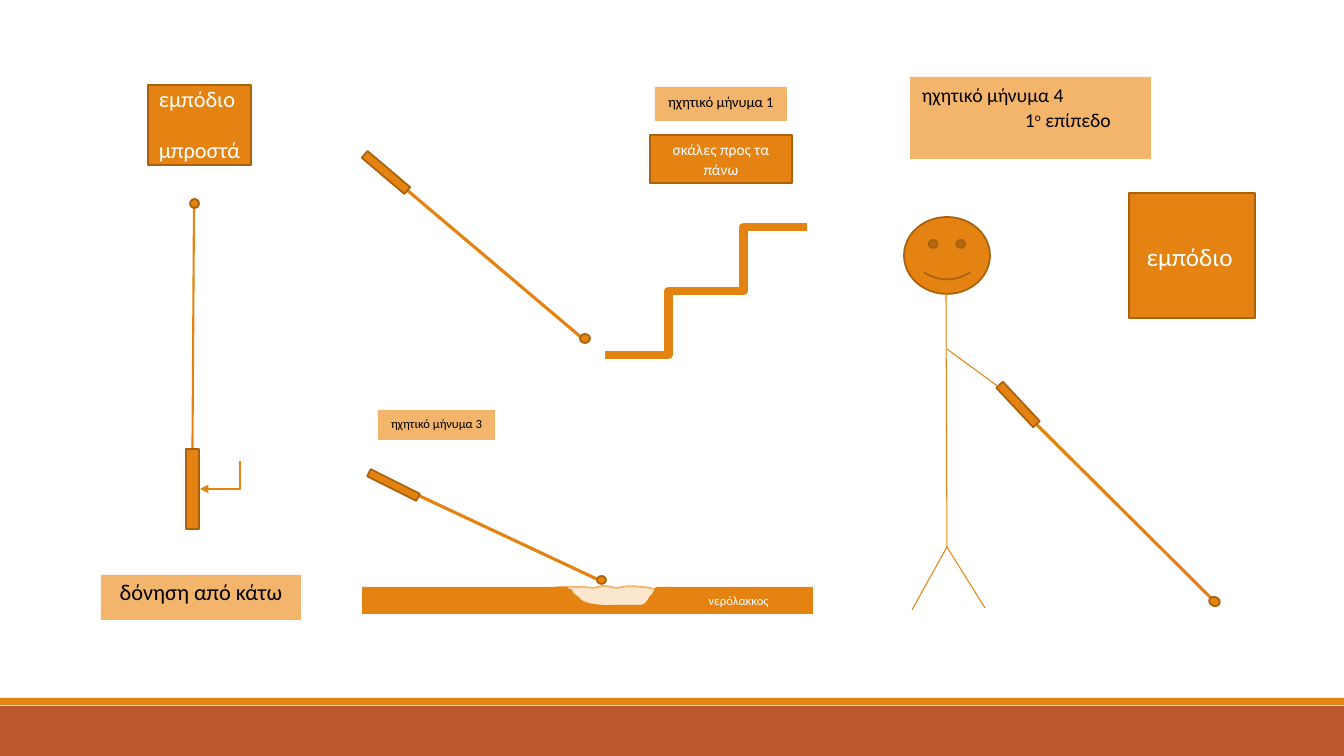
from pptx import Presentation
from pptx.dml.color import RGBColor
from pptx.enum.shapes import MSO_CONNECTOR, MSO_SHAPE
from pptx.enum.text import MSO_ANCHOR, PP_ALIGN
from pptx.oxml.ns import qn
from pptx.util import Pt
from lxml import etree

RECT, OVAL, SMILEY = MSO_SHAPE.RECTANGLE, MSO_SHAPE.OVAL, MSO_SHAPE.SMILEY_FACE
STRAIGHT, ELBOW = MSO_CONNECTOR.STRAIGHT, MSO_CONNECTOR.ELBOW
LEFT, CENTER = PP_ALIGN.LEFT, PP_ALIGN.CENTER
TOP, MIDDLE = MSO_ANCHOR.TOP, MSO_ANCHOR.MIDDLE

SCALE = 914400 / 100.8  # EMU per px
ORANGE, DARK, PALE, CREAM, RUST = "E48312", "A9610D", "F3B56C", "FBE6CE", "BD582C"
BLACK, WHITE = "000000", "FFFFFF"


def px(n):
    return round(n * SCALE)


def rgb(value):
    return RGBColor.from_string(value)


def write(s, *paras, size, color=BLACK, align=CENTER, anchor=TOP, spacing=1.05,
          before=0, indent=0, inset=10):
    """Each paragraph is a string or a list of (text, superscript) runs.
    before and indent apply to the paragraphs after the first."""
    tf = s.text_frame
    tf.word_wrap, tf.vertical_anchor = True, anchor
    tf.margin_left = px(inset)
    for i, runs in enumerate(paras):
        p = tf.add_paragraph() if i else tf.paragraphs[0]
        p.alignment, p.line_spacing = align, spacing
        if i:
            p.space_before = Pt(before)
            p._p.get_or_add_pPr().set("marL", str(px(indent)))
        for text, raised in [(runs, False)] if isinstance(runs, str) else runs:
            r = p.add_run()
            r.text = text
            r.font.name, r.font.size = "Calibri", Pt(size)
            r.font.color.rgb = rgb(color)
            if raised:
                r.font._element.set("baseline", "30000")


class Sketch:
    def __init__(self, slide):
        self.shapes = slide.shapes

    def paint(self, s, fill, line):
        s.shadow.inherit = False
        s.fill.solid()
        s.fill.fore_color.rgb = rgb(fill)
        if line:
            s.line.color.rgb = rgb(line)
            s.line.width = Pt(1.25)
        else:
            s.line.fill.background()
        return s

    def shape(self, kind, x, y, w, h, fill=ORANGE, line=DARK, rot=0):
        s = self.shapes.add_shape(kind, px(x), px(y), px(w), px(h))
        s.rotation = rot
        return self.paint(s, fill, line)

    def label(self, x, y, w, h, *paras, **fmt):
        write(self.shape(RECT, x, y, w, h, PALE, None), *paras, **fmt)

    def box(self, x, y, w, h, *paras, line=DARK, **fmt):
        s = self.shape(RECT, x, y, w, h, line=line)
        write(s, *paras, color=WHITE, anchor=MIDDLE, **fmt)

    def outline(self, start, curves, fill, line=None, corners=()):
        """Curves are (control, control, end); straight corners follow them."""
        ends = [c[-1] for c in curves] + list(corners)
        builder = self.shapes.build_freeform(px(start[0]), px(start[1]))
        builder.add_line_segments([(px(x), px(y)) for x, y in ends], close=True)
        s = builder.convert_to_shape()
        # Turn the first straight segments into cubic curves
        for segment, curve in zip(list(s._element.iter(qn("a:lnTo"))), curves):
            segment.tag = qn("a:cubicBezTo")
            for i, (x, y) in enumerate(curve[:2]):
                pt = etree.Element(qn("a:pt"), x=str(px(x) - s.left), y=str(px(y) - s.top))
                segment.insert(i, pt)
        return self.paint(s, fill, line)

    def line(self, start, end, width, kind=STRAIGHT):
        s = self.shapes.add_connector(kind, *map(px, start + end))
        s.line.color.rgb = rgb(ORANGE)
        s.line.width = Pt(width)
        etree.SubElement(s._element.spPr, qn("a:effectLst"))
        return s

    def corner_arrow(self, start, end, width):
        """Goes down from start, then left to the arrowhead at end."""
        cx, cy = (start[0] + end[0]) // 2, (start[1] + end[1]) // 2
        w, h = end[1] - start[1], start[0] - end[0]
        left, top = cx - w // 2, cy - h // 2
        s = self.line((left, top), (left + w, top + h), width, ELBOW)
        pr = s._element.spPr
        pr.find(qn("a:xfrm")).set("rot", str(90 * 60000))
        pr.find(qn("a:prstGeom")).set("prst", "bentConnector2")
        etree.SubElement(pr.find(qn("a:ln")), qn("a:tailEnd")).set("type", "triangle")

    def cane(self, start, end, tip, grip, rot, tip_rot=0):
        self.line(start, end, 2.25)
        self.shape(OVAL, *tip, rot=tip_rot)
        self.shape(RECT, *grip, rot=rot)


def main():
    prs = Presentation()
    prs.slide_width, prs.slide_height = px(1344), px(756)
    d = Sketch(prs.slides.add_slide(prs.slide_layouts[6]))

    # Footer bands
    d.shape(RECT, 0, 706, 1344, 50, RUST, None)
    d.shape(RECT, 0, 698, 1344, 7, ORANGE, None)

    # Obstacle ahead, cane seen from above
    d.box(148, 85, 103, 80, "εμπόδιο", "μπροστά", size=16, align=LEFT,
          spacing=0.96, before=18, inset=11)
    shaft = d.line((194, 208), (193, 449), 1.5)
    d.shape(OVAL, 190, 199, 9, 9)
    grip = d.shape(RECT, 186, 449, 13, 80)
    shaft.end_connect(grip, 0)
    d.label(101, 575, 200, 45, "δόνηση από κάτω", size=16, spacing=0.97)
    d.corner_arrow((240, 461), (200, 489), 1)

    # Stairs going up
    d.cane((407, 190), (582, 338), (580, 334, 10, 9), (358, 168, 56, 9), 40.3)
    for step in range(2):
        x, y = 807 - 75 * step, 227 + 64 * step
        d.line((x, y), (x - 127, y + 64), 6, ELBOW)
    d.box(650, 135, 142, 48, "σκάλες προς τα πάνω", size=11)
    d.label(655, 87, 132, 34, "ηχητικό μήνυμα 1", size=10.5)

    # Puddle in the ground
    d.cane((407, 490), (601, 581), (597, 576, 9, 8), (366, 481, 55, 8), 26.6)
    d.label(378, 410, 117, 30, "ηχητικό μήνυμα 3", size=9)
    water = [
        ((549, 586), (570, 587), (580, 587)), ((586, 586), (588, 588), (592, 588)),
        ((596, 588), (600, 586), (604, 586)), ((609, 586), (614, 588), (617, 588)),
        ((620, 588), (619, 587), (623, 587)), ((626, 586), (635, 586), (641, 587)),
        ((646, 587), (649, 588), (655, 589)), ((661, 590), (681, 590), (676, 593)),
        ((670, 597), (638, 611), (619, 611)), ((599, 610), (562, 593), (555, 590))]
    d.outline((555, 590), water, CREAM, PALE)
    pit = [
        ((554, 585), (570, 588), (572, 590)), ((574, 592), (572, 594), (576, 595)),
        ((580, 597), (581, 602), (587, 603)), ((593, 604), (606, 606), (613, 605)),
        ((621, 605), (634, 605), (641, 605)), ((647, 605), (649, 595), (652, 594)),
        ((653, 593), (655, 588), (656, 587))]
    d.outline((553, 589), pit, ORANGE, corners=[(669, 587), (664, 614), (561, 614)])
    d.shape(RECT, 362, 587, 206, 27, ORANGE, None)
    d.box(664, 587, 149, 27, "νερόλακκος", size=9, line=None)

    # Walker facing an obstacle
    d.box(1129, 193, 126, 125, "εμπόδιο ", size=18, inset=11)
    d.cane((1035, 423), (1212, 599), (1209, 597, 11, 9), (991, 400, 54, 9), 46.9, tip_rot=23)
    d.shape(SMILEY, 904, 217, 86, 77)
    for start, end in [((947, 349), (1007, 393)), ((946, 288), (947, 547)),
                       ((947, 547), (985, 608)), ((947, 547), (912, 610))]:
        d.line(start, end, 0.75)
    d.label(910, 77, 241, 82, "ηχητικό μήνυμα 4",
            [("1", False), ("ο", True), (" επίπεδο", False)],
            size=14, align=LEFT, indent=103, inset=12)

    prs.save("out.pptx")


if __name__ == "__main__":
    main()
